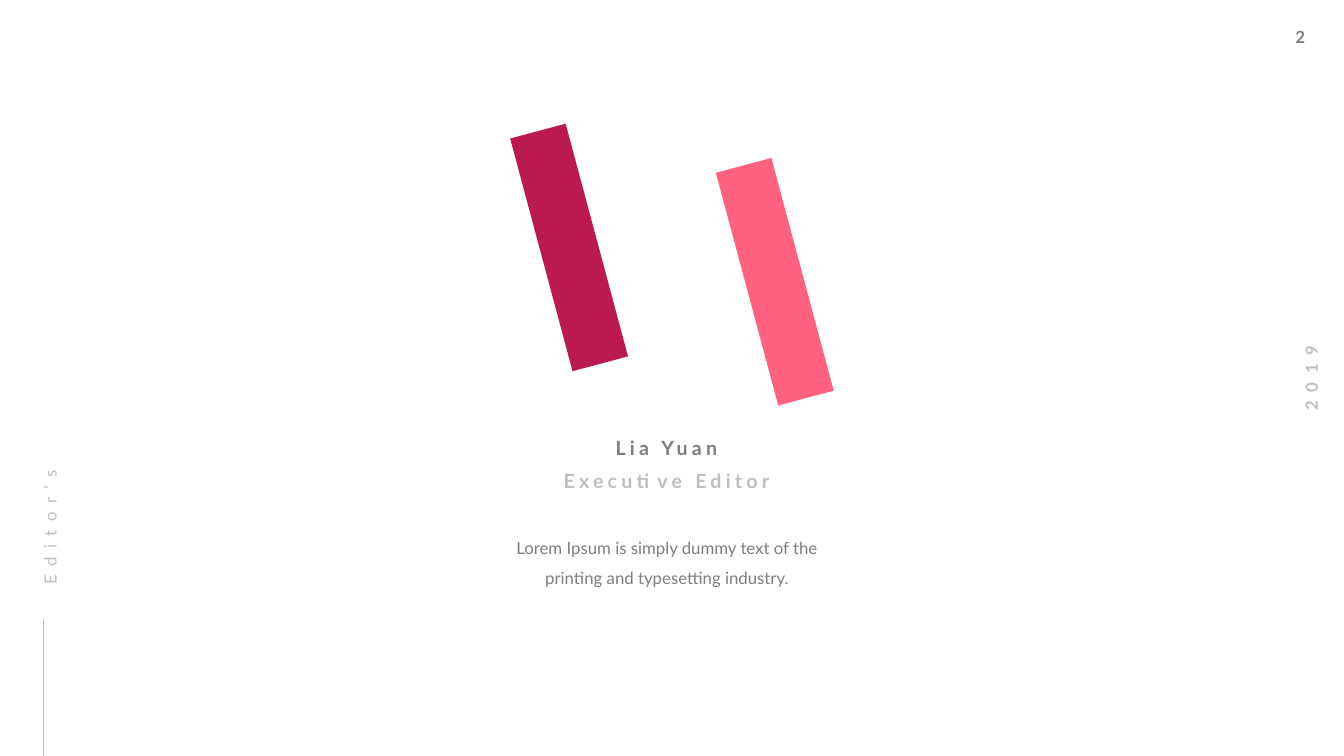
import dataclasses
import pptx
import pptx.dml.color
import pptx.enum.shapes
import pptx.enum.text
import pptx.oxml
import pptx.oxml.ns
import pptx.util

Inches = pptx.util.Inches
Align = pptx.enum.text.PP_ALIGN


@dataclasses.dataclass(frozen=True)
class Theme:
    """Colours, font and type sizes of the slide."""
    dark: str = "7E7E7E"
    pale: str = "BFBFBF"
    wine: str = "BA1A51"
    rose: str = "FF627F"
    face: str = "Lato"
    body: int = 12
    head: int = 14


THEME = Theme()
FLUSH = dict(margin_left=0, margin_top=0, margin_right=Inches(0.1), margin_bottom=0)


def color(code):
    """Return the colour for a hex code."""
    return pptx.dml.color.RGBColor.from_string(code)


def apply(item, values):
    """Set each named value on an item."""
    for name, value in values.items():
        setattr(item, name, value)


def place(shape, left, top, width, height):
    """Move a shape to a box given in inches."""
    apply(shape, dict(left=Inches(left), top=Inches(top),
                      width=Inches(width), height=Inches(height)))


def write(shape, text, tone, size=THEME.body, bold=False, gap=0,
          align=Align.LEFT, lead=1.0, wrap=True, inset=None):
    """Fill a shape with one formatted paragraph."""
    frame = shape.text_frame
    apply(frame, dict(word_wrap=wrap, auto_size=pptx.enum.text.MSO_AUTO_SIZE.NONE,
                      vertical_anchor=pptx.enum.text.MSO_ANCHOR.TOP, **(inset or {})))
    para = frame.paragraphs[0]
    apply(para, dict(alignment=align, line_spacing=lead))
    run = para.add_run()
    run.text = text
    apply(run.font, dict(name=THEME.face, size=pptx.util.Pt(size), bold=bold))
    run.font.color.rgb = color(tone)
    if gap:
        run._r.get_or_add_rPr().set("spc", str(gap * 100))


def label(slide, box, text, tone, turn=0, **style):
    """Add a text box, turned if asked."""
    shape = slide.shapes.add_textbox(*map(Inches, box))
    shape.rotation = turn
    write(shape, text, tone, **style)


def number(slide, left, top):
    """Put the page number in the top corner."""
    label(slide, (left, top, 0.41, 0.3), "2", THEME.dark, bold=True, wrap=False)


def year(slide, left, top):
    """Put the upright year at the right edge."""
    label(slide, (left, top, 0.93, 0.3), "2019", THEME.pale, turn=270,
          bold=True, gap=6, align=Align.CENTER, wrap=False)


def side(slide, left, top, height):
    """Put the upright section name above a rule at the left edge."""
    label(slide, (left - 0.74, top, 1.48, 0.27), "Editor’s", THEME.pale,
          turn=270, gap=6, lead=1.5, inset=FLUSH)
    rule = slide.shapes.add_connector(
        pptx.enum.shapes.MSO_CONNECTOR.STRAIGHT,
        *map(Inches, (left, top + height, left, top + 1.22)))
    rule.line.color.rgb = color(THEME.pale)
    rule.line.width = pptx.util.Pt(0.5)
    rule._element.spPr.append(pptx.oxml.parse_xml(
        f"<a:effectLst {pptx.oxml.ns.nsdecls('a')}/>"))


def bars(slide, left, top):
    """Draw the two slanted bars."""
    for right, down, tone in ((2.04, 0.34, THEME.rose), (0, 0, THEME.wine)):
        bar = slide.shapes.add_shape(
            pptx.enum.shapes.MSO_SHAPE.RECTANGLE,
            *map(Inches, (left + right, top + down, 0.57, 2.39)))
        bar.rotation = 345
        bar.shadow.inherit = False
        bar.fill.solid()
        bar.fill.fore_color.rgb = color(tone)
        bar.line.fill.background()


def person(slide, left, top, width):
    """Put the name, role and short text in a centred column."""
    mid = dict(align=Align.CENTER, inset=FLUSH)
    head = dict(size=THEME.head, bold=True, gap=3, **mid)
    name = slide.shapes.title
    place(name, left, top, width, 0.24)
    write(name, "Lia Yuan", THEME.dark, **head)
    label(slide, (left, top + 0.33, width, 0.24), "Executive Editor",
          THEME.pale, **head)
    label(slide, (left - 0.09, top + 0.91, width + 0.19, 0.57),
          "Lorem Ipsum is simply dummy text of the printing and typesetting industry.",
          THEME.dark, lead=1.5, **mid)


def main():
    """Build and save the slide."""
    deck = pptx.Presentation()
    apply(deck, dict(slide_width=Inches(13.33), slide_height=Inches(7.5)))
    slide = deck.slides.add_slide(deck.slide_layouts.get_by_name("Title Only"))
    number(slide, 12.75, 0.22)
    year(slide, 12.54, 3.6)
    bars(slide, 5.36, 1.26)
    side(slide, 0.43, 4.92, 2.58)
    person(slide, 5.13, 4.32, 3.06)
    deck.save("out.pptx")


if __name__ == "__main__":
    main()
